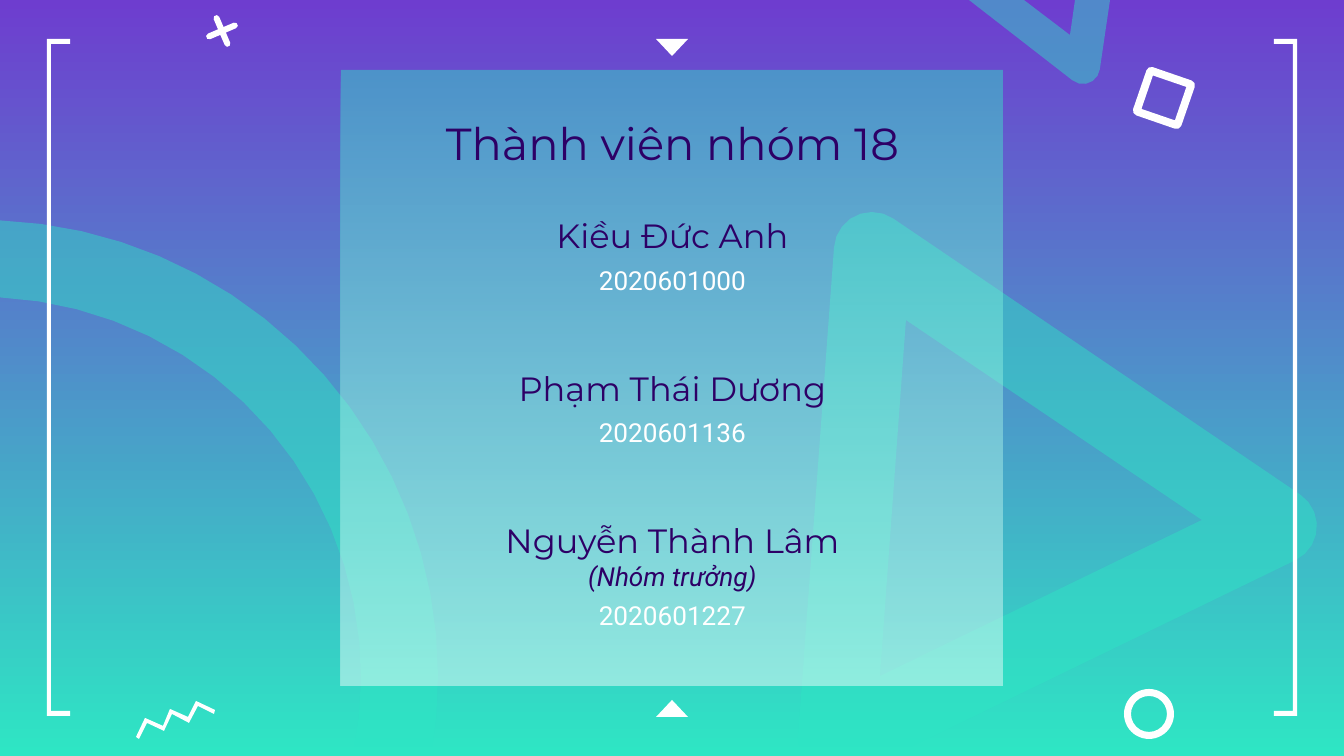
import math
from dataclasses import dataclass

import lxml.etree
import pptx
import pptx.dml.color
import pptx.enum.shapes
import pptx.enum.text
import pptx.oxml.ns
import pptx.util

EMU_PER_PX = 914400 / 134.4
WIDTH, HEIGHT = 1344, 756
CURVE_TOLERANCE = 0.5
RGB = pptx.dml.color.RGBColor
ANCHOR = pptx.enum.text.MSO_ANCHOR
SHAPE = pptx.enum.shapes.MSO_SHAPE

Point = tuple[float, float]
Contour = list[Point]


@dataclass(frozen=True)
class Theme:
    violet: RGB = RGB(0x6E, 0x3D, 0xCF)
    mint: RGB = RGB(0x2E, 0xE6, 0xC4)
    white: RGB = RGB(0xFF, 0xFF, 0xFF)
    ink: RGB = RGB(0x2D, 0x00, 0x66)
    heading_font: str = "Montserrat"
    body_font: str = "Roboto"
    title_size: int = 24
    name_size: int = 18
    body_size: int = 14
    opacity: int = 45


THEME = Theme()


@dataclass(frozen=True)
class Style:
    font: str
    size: int
    color: RGB
    anchor: ANCHOR = ANCHOR.TOP
    italic: bool = False


TITLE = Style(THEME.heading_font, THEME.title_size, THEME.ink, ANCHOR.BOTTOM)
NAME = Style(THEME.heading_font, THEME.name_size, THEME.ink, ANCHOR.BOTTOM)
NUMBER = Style(THEME.body_font, THEME.body_size, THEME.white)
ROLE = Style(THEME.body_font, THEME.body_size, THEME.ink, italic=True)


@dataclass(frozen=True)
class Label:
    text: str
    style: Style
    top: int
    height: int


@dataclass(frozen=True)
class Member:
    name: str
    number: str
    name_top: int
    number_top: int
    role: str = ""


MEMBERS = [
    Member("Kiều Đức Anh", "2020601000", 184, 251),
    Member("Phạm Thái Dương", "2020601136", 337, 403),
    Member("Nguyễn Thành Lâm", "2020601227", 489, 586, "(Nhóm trưởng)"),
]
LABEL_LEFT, LABEL_WIDTH, LABEL_HEIGHT = 363, 619, 85
NUMBER_HEIGHT, ROLE_OFFSET, ROLE_HEIGHT = 65, 58, 47


def px(value: float) -> pptx.util.Emu:
    return pptx.util.Emu(round(value * EMU_PER_PX))


def polar(center: Point, radius: float, degrees: float) -> Point:
    angle = math.radians(degrees)
    return center[0] + radius * math.cos(angle), center[1] + radius * math.sin(angle)


def arc(center: Point, radius: float, start: float, end: float) -> Contour:
    """As few points as the tolerance allows; degrees run clockwise from the right."""
    widest_step = 2 * math.degrees(math.acos(1 - CURVE_TOLERANCE / radius))
    steps = math.ceil(abs(end - start) / widest_step)
    return [polar(center, radius, start + (end - start) * i / steps) for i in range(steps + 1)]


def set_opacity(shape) -> None:
    for color in shape._element.spPr.iter(pptx.oxml.ns.qn("a:srgbClr")):
        alpha = lxml.etree.SubElement(color, pptx.oxml.ns.qn("a:alpha"))
        alpha.set("val", str(THEME.opacity * 1000))


def set_gradient(fill, top: RGB, bottom: RGB) -> None:
    fill.gradient()
    fill.gradient_angle = 270
    for stop, color in zip(fill.gradient_stops, (top, bottom)):
        stop.color.rgb = color


def paint(shape, color: RGB) -> None:
    shape.shadow.inherit = False
    shape.fill.solid()
    shape.fill.fore_color.rgb = color
    shape.line.fill.background()


def draw_outline(slide, contours: list[Contour], color: RGB, translucent: bool = False) -> None:
    """Draw one filled shape; contours after the first cut holes."""
    builder = None
    for contour in contours:
        first, *rest = [(px(x), px(y)) for x, y in contour]
        if builder is None:
            builder = slide.shapes.build_freeform(*first)
        else:
            builder.move_to(*first)
        builder.add_line_segments(rest)
    shape = builder.convert_to_shape()
    paint(shape, color)
    if translucent:
        set_opacity(shape)


def draw_large_shapes(slide) -> None:
    center = (-19, 677)
    ring = arc(center, 457, -87.6, 10) + arc(center, 380, 12, -87.1)
    triangle = [(801, HEIGHT), (798, 738), *arc((872, 250), 38, 184, 304),
                *arc((1279, 526), 38, -56, 64), (892, HEIGHT)]
    triangle_hole = [(906, 320), (1202, 520), (880, 676)]
    corner = [(969, 0), *arc((1083, 67), 17, 128, 8), (1110, 0), (1075, 0), (1070, 35), (1024, 0)]
    for contours in ([ring], [triangle, triangle_hole], [corner]):
        draw_outline(slide, contours, THEME.mint, translucent=True)


def cross(center: Point, arm: int, radius: int, tilt: int) -> Contour:
    points = []
    for angle in range(tilt, tilt + 360, 90):
        points += arc(polar(center, arm, angle), radius, angle - 90, angle + 90)
        points.append(polar(center, radius * math.sqrt(2), angle + 45))
    return points


def square_frame(center: Point, tilt: int) -> list[Contour]:
    angles = range(tilt, tilt + 360, 90)
    outer = [point for angle in angles
             for point in arc(polar(center, 29, angle), 5, angle - 45, angle + 45)]
    return [outer, [polar(center, 25, angle) for angle in angles]]


def draw_ornaments(slide) -> None:
    pointer = [(656, 39), (672, 56), (688, 39)]
    bracket = [(47, 39), (47, 716), (70, 716), (70, 711), (51, 711), (51, 44), (70, 44), (70, 39)]
    zigzag = [(136, 737), (145, 718), (163, 726), (170, 709), (188, 717), (196, 701), (215, 710),
              (214, 714), (198, 706), (189, 723), (172, 714), (164, 731), (147, 723), (139, 739)]
    for contours in (
        [pointer],
        [[(x, HEIGHT - y) for x, y in pointer]],
        square_frame((1164, 98), -26),
        [cross((222, 31), 14, 3, -23)],
        [bracket],
        [[(WIDTH - x, y) for x, y in bracket]],
        [zigzag],
    ):
        draw_outline(slide, contours, THEME.white)
    circle = slide.shapes.add_shape(SHAPE.DONUT, px(1124), px(689), px(50), px(50))
    circle.adjustments[0] = 0.14
    paint(circle, THEME.white)


def draw_panel(slide) -> None:
    panel = slide.shapes.add_shape(SHAPE.ROUNDED_RECTANGLE, px(341), px(70), px(662), px(616))
    panel.adjustments[0] = 0
    panel.shadow.inherit = False
    panel.line.fill.background()
    set_gradient(panel.fill, THEME.mint, THEME.white)
    set_opacity(panel)


def write_label(slide, label: Label, placeholder=None) -> None:
    """Fill the placeholder, raised to the front, or a new text box."""
    shape = placeholder
    if shape is None:
        shape = slide.shapes.add_textbox(0, 0, 0, 0)
    else:
        slide.shapes._spTree.append(shape._element)
    shape.left, shape.top = px(LABEL_LEFT), px(label.top)
    shape.width, shape.height = px(LABEL_WIDTH), px(label.height)
    frame = shape.text_frame
    frame.word_wrap = True
    frame.auto_size = pptx.enum.text.MSO_AUTO_SIZE.NONE
    frame.vertical_anchor = label.style.anchor
    frame.margin_left = frame.margin_right = frame.margin_top = frame.margin_bottom = pptx.util.Inches(0.1)
    paragraph = frame.paragraphs[0]
    paragraph.text = label.text
    paragraph.alignment = pptx.enum.text.PP_ALIGN.CENTER
    paragraph.space_before = pptx.util.Pt(0)
    paragraph.font.name = label.style.font
    paragraph.font.size = pptx.util.Pt(label.style.size)
    paragraph.font.italic = label.style.italic
    paragraph.font.color.rgb = label.style.color


def main() -> None:
    presentation = pptx.Presentation()
    presentation.slide_width, presentation.slide_height = px(WIDTH), px(HEIGHT)
    slide = presentation.slides.add_slide(presentation.slide_layouts[0])
    title, subtitle = slide.placeholders
    set_gradient(slide.background.fill, THEME.violet, THEME.mint)
    draw_large_shapes(slide)
    draw_ornaments(slide)
    draw_panel(slide)
    write_label(slide, Label("Thành viên nhóm 18", TITLE, 98, LABEL_HEIGHT), title)
    for index, member in enumerate(MEMBERS):
        write_label(slide, Label(member.name, NAME, member.name_top, LABEL_HEIGHT))
        if member.role:
            write_label(slide, Label(member.role, ROLE, member.name_top + ROLE_OFFSET, ROLE_HEIGHT))
        number = Label(member.number, NUMBER, member.number_top, NUMBER_HEIGHT)
        write_label(slide, number, subtitle if index == 0 else None)
    presentation.save("out.pptx")


if __name__ == "__main__":
    main()
